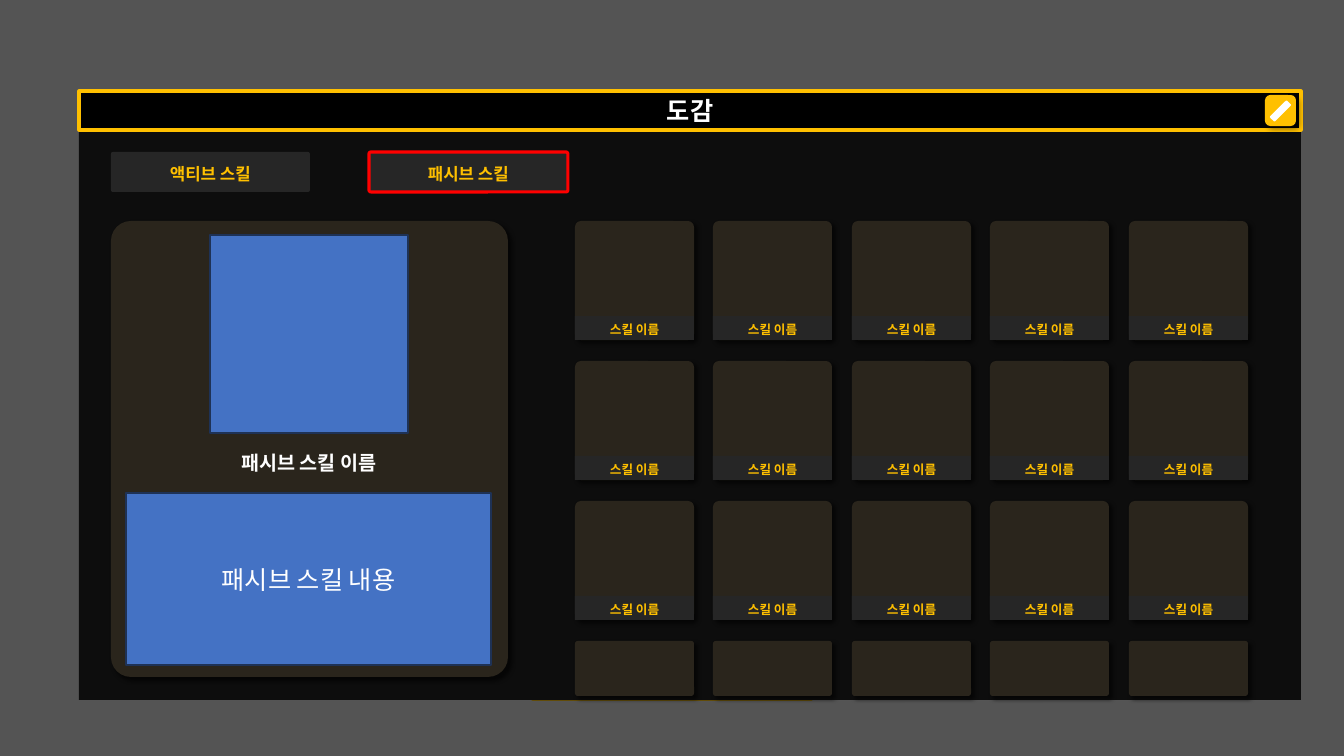
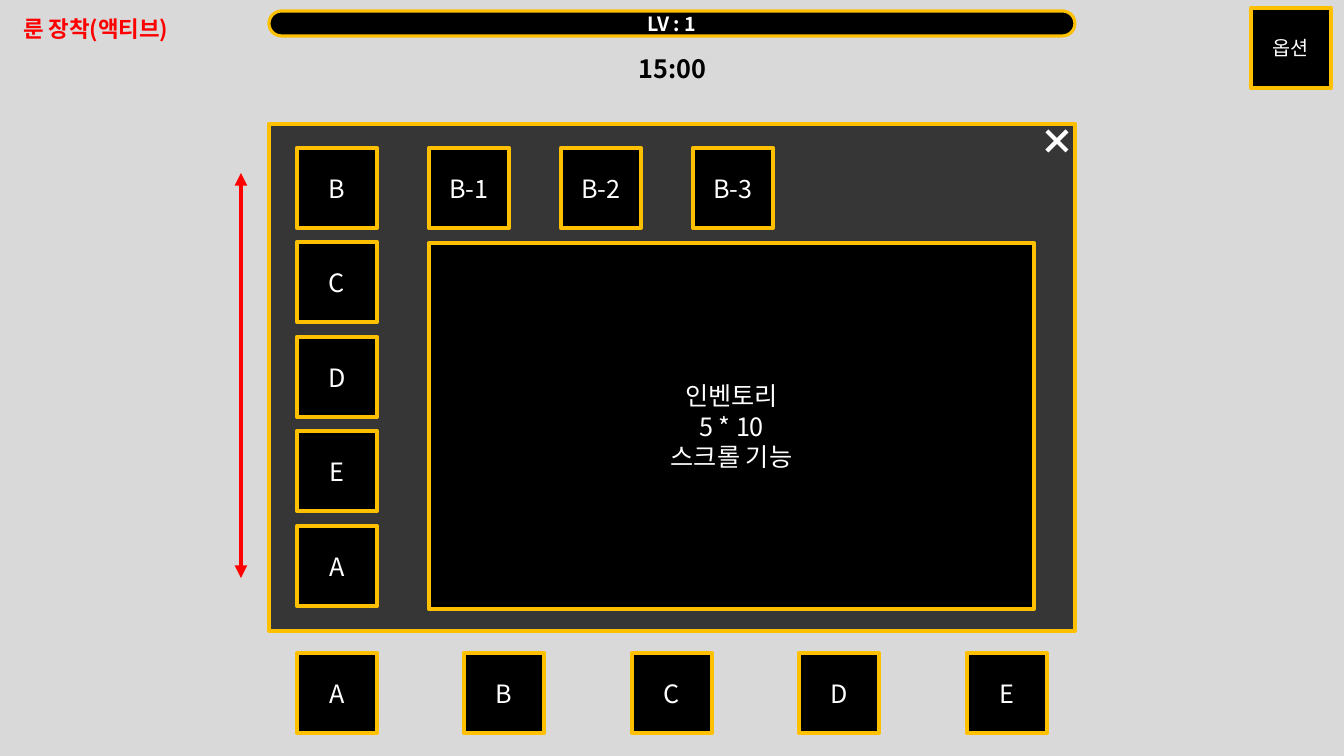
"""Build two game screen layouts: the skill codex and the rune equipment window."""
from lxml.etree import SubElement
from pptx import Presentation
from pptx.dml.color import RGBColor
from pptx.enum.shapes import MSO_CONNECTOR, MSO_SHAPE
from pptx.enum.text import MSO_ANCHOR, MSO_AUTO_SIZE, PP_ALIGN
from pptx.oxml.ns import qn
from pptx.util import Pt

PX = 914400 / 100.8
FONT = "Noto Sans CJK KR"
BLACK = RGBColor(0x00, 0x00, 0x00)
WHITE = RGBColor(0xFF, 0xFF, 0xFF)
GOLD = RGBColor(0xFF, 0xC0, 0x00)
RED = RGBColor(0xFF, 0x00, 0x00)
BACKDROP = RGBColor(0xD9, 0xD9, 0xD9)
NIGHT = RGBColor(0x0D, 0x0D, 0x0D)
CHARCOAL = RGBColor(0x26, 0x26, 0x26)
BROWN = RGBColor(0x2A, 0x25, 0x1C)
BLUE = RGBColor(0x44, 0x72, 0xC4)
NAVY = RGBColor(0x1E, 0x32, 0x56)


def box(slide, bounds, fill, outline=None, width=3, radius=None, opacity=None, shadow=None):
    """Add a filled rectangle, rounded when a radius is given; shadow is (opacity, blur, distance)."""
    preset = MSO_SHAPE.RECTANGLE if radius is None else MSO_SHAPE.ROUNDED_RECTANGLE
    shape = slide.shapes.add_shape(preset, *[round(n * PX) for n in bounds])
    if radius is not None:
        shape.adjustments[0] = radius
    shape.fill.solid()
    shape.fill.fore_color.rgb = fill
    properties = shape._element.spPr
    if opacity:
        SubElement(properties.find(".//" + qn("a:srgbClr")), qn("a:alpha"), val=str(opacity * 1000))
    if outline is None:
        shape.line.fill.background()
    else:
        shape.line.color.rgb = outline
        shape.line.width = Pt(width)
    shape.shadow.inherit = False
    if shadow:
        strength, blur, distance = shadow
        cast = SubElement(properties.find(qn("a:effectLst")), qn("a:outerShdw"), blurRad=str(Pt(blur)),
                          dist=str(Pt(distance)), dir="2700000", algn="tl", rotWithShape="0")
        tint = SubElement(cast, qn("a:srgbClr"), val=str(BLACK))
        SubElement(tint, qn("a:alpha"), val=str(strength * 1000))
    return shape


def write(shape, text, size=18, color=WHITE, bold=False, align=PP_ALIGN.CENTER,
          anchor=MSO_ANCHOR.MIDDLE, spacing=1.0, after=0):
    """Put text in a shape, one paragraph a line, in the shared font."""
    frame = shape.text_frame
    frame.text = text
    frame.word_wrap = True
    frame.auto_size = MSO_AUTO_SIZE.NONE
    frame.vertical_anchor = anchor
    for paragraph in frame.paragraphs:
        paragraph.alignment = align
        paragraph.line_spacing = spacing
        paragraph.space_after = Pt(after)
        font = paragraph.font
        font.name, font.size, font.bold = FONT, Pt(size), bold
        font.color.rgb = color
        SubElement(paragraph._p.find(".//" + qn("a:defRPr")), qn("a:ea"), typeface=FONT)


deck = Presentation()
deck.slide_width, deck.slide_height = round(1344 * PX), round(756 * PX)
deck.slide_master.background.fill.solid()
deck.slide_master.background.fill.fore_color.rgb = BACKDROP
title_only = deck.slide_layouts[5]
label_style = {"color": GOLD, "bold": True, "spacing": 1.15, "after": 10}
card_style = {"fill": BROWN, "radius": 0.05, "shadow": (60, 3, 3)}

codex = deck.slides.add_slide(title_only)
box(codex, (533, 640, 278, 59), BLACK, GOLD)
box(codex, (0, 0, 1344, 756), NIGHT, opacity=65)
box(codex, (79, 91, 1222, 609), NIGHT)

heading = codex.shapes.title
codex.shapes._spTree.append(heading._element)
heading.left, heading.top, heading.width, heading.height = [round(n * PX) for n in (79, 91, 1222, 39)]
heading.fill.solid()
heading.fill.fore_color.rgb = BLACK
heading.line.color.rgb = GOLD
heading.line.width = Pt(2.25)
write(heading, "도감", bold=True)

box(codex, (1265, 95, 31, 31), GOLD, radius=0.17, shadow=(40, 4, 3))
pencil = box(codex, (1277, 99, 7, 24), WHITE, radius=0.17)
pencil.rotation = 45

for left, tab_name, outline in ((111, "액티브 스킬", None), (369, "패시브 스킬", RED)):
    tab = box(codex, (left, 152, 199, 40), CHARCOAL, outline, 2.25, radius=0.05)
    write(tab, tab_name, 12, **label_style)

box(codex, (111, 221, 397, 456), **card_style)
skill_name = codex.shapes.add_textbox(*[round(n * PX) for n in (210, 446, 198, 34)])
write(skill_name, "패시브 스킬 이름", 14, bold=True, anchor=MSO_ANCHOR.TOP)
box(codex, (210, 235, 198, 198), BLUE, NAVY, 1)
skill_details = box(codex, (126, 493, 365, 172), BLUE, NAVY, 1)
write(skill_details, "패시브 스킬 내용")

for row in range(4):
    for column in range(5):
        left, top = 575 + column * 277 // 2, 221 + row * 140
        if row == 3:
            box(codex, (left, top, 119, 55), **card_style)
        else:
            box(codex, (left, top, 119, 119), **card_style)
            card_label = box(codex, (left, top + 95, 119, 24), CHARCOAL)
            write(card_label, "스킬 이름", 9, **label_style)

runes = deck.slides.add_slide(title_only)
heading = runes.shapes.title
heading.left, heading.top, heading.width, heading.height = [round(n * PX) for n in (13, 10, 198, 37)]
write(heading, "룬 장착(액티브)", 16, RED, True, PP_ALIGN.LEFT, MSO_ANCHOR.TOP)

level_bar = box(runes, (269, 11, 806, 25), BLACK, GOLD, 2.25, radius=0.5)
write(level_bar, "LV : 1", 14, bold=True)
timer = runes.shapes.add_textbox(*[round(n * PX) for n in (613, 48, 119, 40)])
write(timer, "15:00", color=BLACK, bold=True)
box(runes, (269, 124, 806, 507), BLACK, GOLD, opacity=75)
inventory = box(runes, (429, 243, 605, 366), BLACK, GOLD)
write(inventory, "인벤토리\n5 * 10\n스크롤 기능")

slots = [(297 + i * 335 // 2, 653, name, 18) for i, name in enumerate("ABCDE")]
slots += [(297, 148 + i * 189 // 2, name, 18) for i, name in enumerate("BCDEA")]
slots += [(297 + i * 132, 148, f"B-{i}", 18) for i in range(1, 4)]
slots.append((1251, 8, "옵션", 14))
for left, top, name, size in slots:
    write(box(runes, (left, top, 80, 80), BLACK, GOLD), name, size)

strokes = (
    ((1067, 131, 1047, 151), WHITE, ()),
    ((1047, 131, 1067, 151), WHITE, ()),
    ((241, 173, 241, 578), RED, ("headEnd", "tailEnd")),
)
for ends, color, arrowheads in strokes:
    stroke = runes.shapes.add_connector(MSO_CONNECTOR.STRAIGHT, *[round(n * PX) for n in ends])
    stroke.line.color.rgb = color
    stroke.line.width = Pt(3)
    for end in arrowheads:
        SubElement(stroke.line._get_or_add_ln(), qn(f"a:{end}"), type="triangle")
    SubElement(stroke._element.spPr, qn("a:effectLst"))

deck.save("out.pptx")
